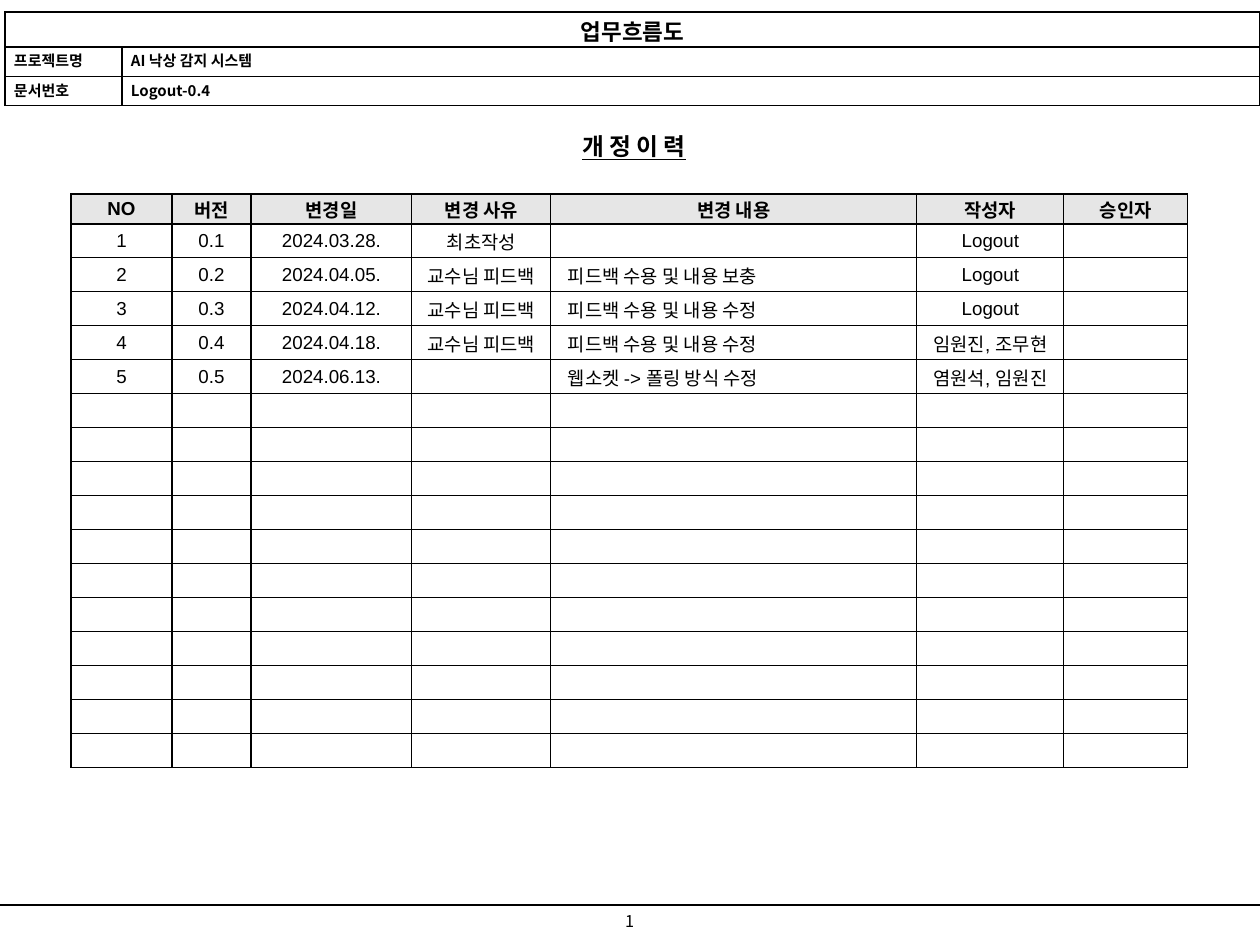
from lxml import etree
from pptx import Presentation
from pptx.dml.color import RGBColor
from pptx.enum.shapes import MSO_CONNECTOR
from pptx.enum.text import MSO_ANCHOR, PP_ALIGN
from pptx.oxml.ns import qn
from pptx.util import Pt

PX = 10160
STRAIGHT = MSO_CONNECTOR.STRAIGHT
TOP, MIDDLE = MSO_ANCHOR.TOP, MSO_ANCHOR.MIDDLE
LEFT, CENTER = PP_ALIGN.LEFT, PP_ALIGN.CENTER
LATIN, KOREAN = "Arial", "Noto Sans CJK KR"
BLACK, WHITE, GRAY = "000000", "FFFFFF", "E6E6E6"

HEADINGS = ["NO", "버전", "변경일", "변경 사유", "변경 내용", "작성자", "승인자"]
REVISIONS = [
    ["1", "0.1", "2024.03.28.", "최초작성", "", "Logout", ""],
    ["2", "0.2", "2024.04.05.", "교수님 피드백", "피드백 수용 및 내용 보충", "Logout", ""],
    ["3", "0.3", "2024.04.12.", "교수님 피드백", "피드백 수용 및 내용 수정", "Logout", ""],
    ["4", "0.4", "2024.04.18.", "교수님 피드백", "피드백 수용 및 내용 수정", "임원진, 조무현", ""],
    ["5", "0.5", "2024.06.13.", "", "웹소켓 -> 폴링 방식 수정", "염원석, 임원진", ""],
]
EMPTY_ROWS = 11
DETAIL_COLUMN = HEADINGS.index("변경 내용")
PROJECT = [("프로젝트명", "AI 낙상 감지 시스템"), ("문서번호", "Logout-0.4")]


def px(*lengths):
    return [length * PX for length in lengths]


def color(hex_code):
    return RGBColor.from_string(hex_code)


def write(frame, text, size, face=KOREAN, bold=False, align=CENTER):
    paragraph = frame.paragraphs[0]
    paragraph.text = text
    paragraph.alignment = align
    font = paragraph.font
    font.size, font.name, font.bold = Pt(size), face, bold
    font.color.rgb = color(BLACK)
    latin = paragraph._p.pPr.find(qn("a:defRPr")).find(qn("a:latin"))
    east_asian = etree.Element(qn("a:ea"), typeface=KOREAN)
    latin.addnext(east_asian)
    return font


def add_label(slide, box, text, size, bold=False, wrap=True):
    frame = slide.shapes.add_textbox(*px(*box)).text_frame
    frame.word_wrap = wrap
    frame.margin_left, frame.margin_right = px(12, 12)
    frame.margin_top, frame.margin_bottom = px(6, 6)
    return write(frame, text, size, bold=bold)


def add_grid(slide, left, top, widths, heights):
    box = px(left, top, sum(widths), sum(heights))
    table = slide.shapes.add_table(len(heights), len(widths), *box).table
    table.first_row = table.horz_banding = False
    for column, width in zip(table.columns, px(*widths)):
        column.width = width
    for row, height in zip(table.rows, px(*heights)):
        row.height = height
    return table


def style_cell(cell, fill, anchor, side, edge):
    cell.vertical_anchor = anchor
    cell.margin_left, cell.margin_right = px(side, side)
    cell.margin_top, cell.margin_bottom = px(edge, edge)
    cell.fill.solid()
    cell.fill.fore_color.rgb = color(fill)
    properties = cell._tc.get_or_add_tcPr()
    for position, tag in enumerate(["a:lnL", "a:lnR", "a:lnT", "a:lnB"]):
        border = etree.Element(qn(tag), w=str(Pt(1)))
        paint = etree.SubElement(border, qn("a:solidFill"))
        etree.SubElement(paint, qn("a:srgbClr"), val=BLACK)
        properties.insert(position, border)


def add_document_header(slide, left, top):
    table = add_grid(slide, left, top, [117, 1138], [35, 30, 29])
    for cell in table.iter_cells():
        style_cell(cell, WHITE, TOP, 9, 2)
    table.cell(0, 0).merge(table.cell(0, 1))
    write(table.cell(0, 0).text_frame, "업무흐름도", 18, bold=True)
    for r, entry in enumerate(PROJECT, 1):
        for c, text in enumerate(entry):
            write(table.cell(r, c).text_frame, text, 12, bold=True, align=LEFT)


def add_revision_history(slide, left, top):
    blanks = [[""] * len(HEADINGS)] * EMPTY_ROWS
    entries = [HEADINGS] + REVISIONS + blanks
    widths = [101, 79, 161, 139, 366, 147, 124]
    table = add_grid(slide, left, top, widths, [30] + [34] * (len(entries) - 1))
    for r, entry in enumerate(entries):
        heading = r == 0
        for c, text in enumerate(entry):
            cell = table.cell(r, c)
            detail = c == DETAIL_COLUMN and not heading
            style_cell(cell, GRAY if heading else WHITE, MIDDLE, 17 if detail else 8, 0)
            write(cell.text_frame, text, 15, LATIN, heading, LEFT if detail else CENTER)


def add_footer(slide, top, width):
    rule = slide.shapes.add_connector(STRAIGHT, *px(0, top, width, top))
    rule.line.color.rgb = color(BLACK)
    rule.line.width = Pt(1)
    etree.SubElement(rule._element.spPr, qn("a:effectLst"))
    add_label(slide, (605, top, 49, 31), "1", 13, wrap=False)


def main():
    deck = Presentation()
    deck.slide_width, deck.slide_height = px(1260, 945)
    slide = deck.slides.add_slide(deck.slide_layouts[6])
    add_footer(slide, 905, 1260)
    add_label(slide, (524, 126, 220, 42), "개 정 이 력", 19, bold=True).underline = True
    add_revision_history(slide, 71, 194)
    add_document_header(slide, 5, 12)
    deck.save("out.pptx")


if __name__ == "__main__":
    main()
